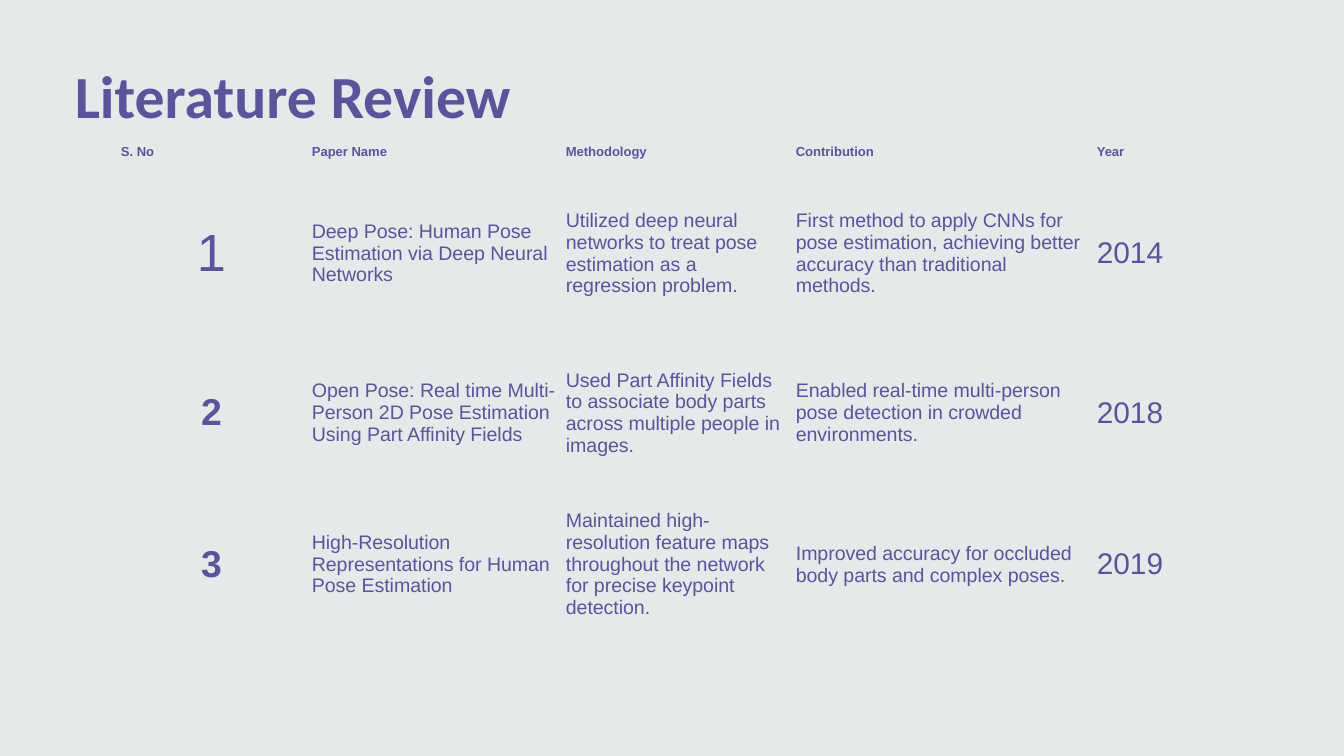
from pptx import Presentation, util as u
from pptx.dml.color import RGBColor
from pptx.enum import text

PX = 9144000 / 1344
COLORS = {"background": "E5E9EA", "ink": "5B549B"}
NO_STYLE_NO_GRID = "{2D5ABB26-0587-4C30-8999-92F81FD0307C}"


def px(*lengths):
    return [u.Emu(round(length * PX)) for length in lengths]


def write(frame, words, size, font="Arial", bold=False, align=text.PP_ALIGN.LEFT):
    paragraph = frame.paragraphs[0]
    paragraph.alignment = align
    run = paragraph.add_run()
    run.text = words
    run.font.size = u.Pt(size)
    run.font.name = font
    run.font.bold = bold
    run.font.color.rgb = RGBColor.from_string(COLORS["ink"])


deck = Presentation()
deck.slide_width, deck.slide_height = px(1344, 756)
slide = deck.slides.add_slide(deck.slide_layouts[6])
slide.background.fill.solid()
slide.background.fill.fore_color.rgb = RGBColor.from_string(COLORS["background"])

heading = slide.shapes.add_textbox(*px(-126, 22, 851, 121)).text_frame
heading.word_wrap = True
heading.vertical_anchor = text.MSO_ANCHOR.BOTTOM
heading.margin_left, heading.margin_top, heading.margin_right, heading.margin_bottom = px(13, 13, 13, 13)
write(heading, "Literature Review ", 32, font="Calibri", bold=True, align=text.PP_ALIGN.CENTER)

papers = [
    ("S. No", "Paper Name", "Methodology", "Contribution", "Year"),
    ("1", "Deep Pose: Human Pose Estimation via Deep Neural Networks",
     "Utilized deep neural networks to treat pose estimation as a regression problem.",
     "First method to apply CNNs for pose estimation, achieving better accuracy than traditional methods.",
     "2014"),
    ("2", "Open Pose: Real time Multi-Person 2D Pose Estimation Using Part Affinity Fields",
     "Used Part Affinity Fields to associate body parts across multiple people in images.",
     "Enabled real-time multi-person pose detection in crowded environments.",
     "2018"),
    ("3", "High-Resolution Representations for Human Pose Estimation",
     "Maintained high-resolution feature maps throughout the network for precise keypoint detection.",
     "Improved accuracy for occluded body parts and complex poses.",
     "2019"),
]
column_widths = [191, 254, 230, 301, 157]
row_heights = [30, 173, 146, 157]
body_sizes = [20, 10.5, 10.5, 10.5, 16]

review_frame = slide.shapes.add_table(
    len(papers), len(column_widths), *px(116, 137, sum(column_widths), sum(row_heights)))
review = review_frame.table
review.first_row = review.horz_banding = False
review_frame._element.find(".//{*}tableStyleId").text = NO_STYLE_NO_GRID

for column, width in zip(review.columns, px(*column_widths)):
    column.width = width
for row, height in zip(review.rows, px(*row_heights)):
    row.height = height

for r, paper in enumerate(papers):
    for c, words in enumerate(paper):
        cell = review.cell(r, c)
        cell.fill.background()
        cell.vertical_anchor = text.MSO_ANCHOR.MIDDLE
        cell.margin_left, cell.margin_top, cell.margin_right, cell.margin_bottom = px(5, 3, 5, 3)
        if r == 0:
            write(cell.text_frame, words, 7, bold=True)
        elif c == 0:
            write(cell.text_frame, words, 28 if r == 1 else body_sizes[c],
                  bold=r > 1, align=text.PP_ALIGN.CENTER)
        else:
            write(cell.text_frame, words, body_sizes[c])

deck.save("out.pptx")
